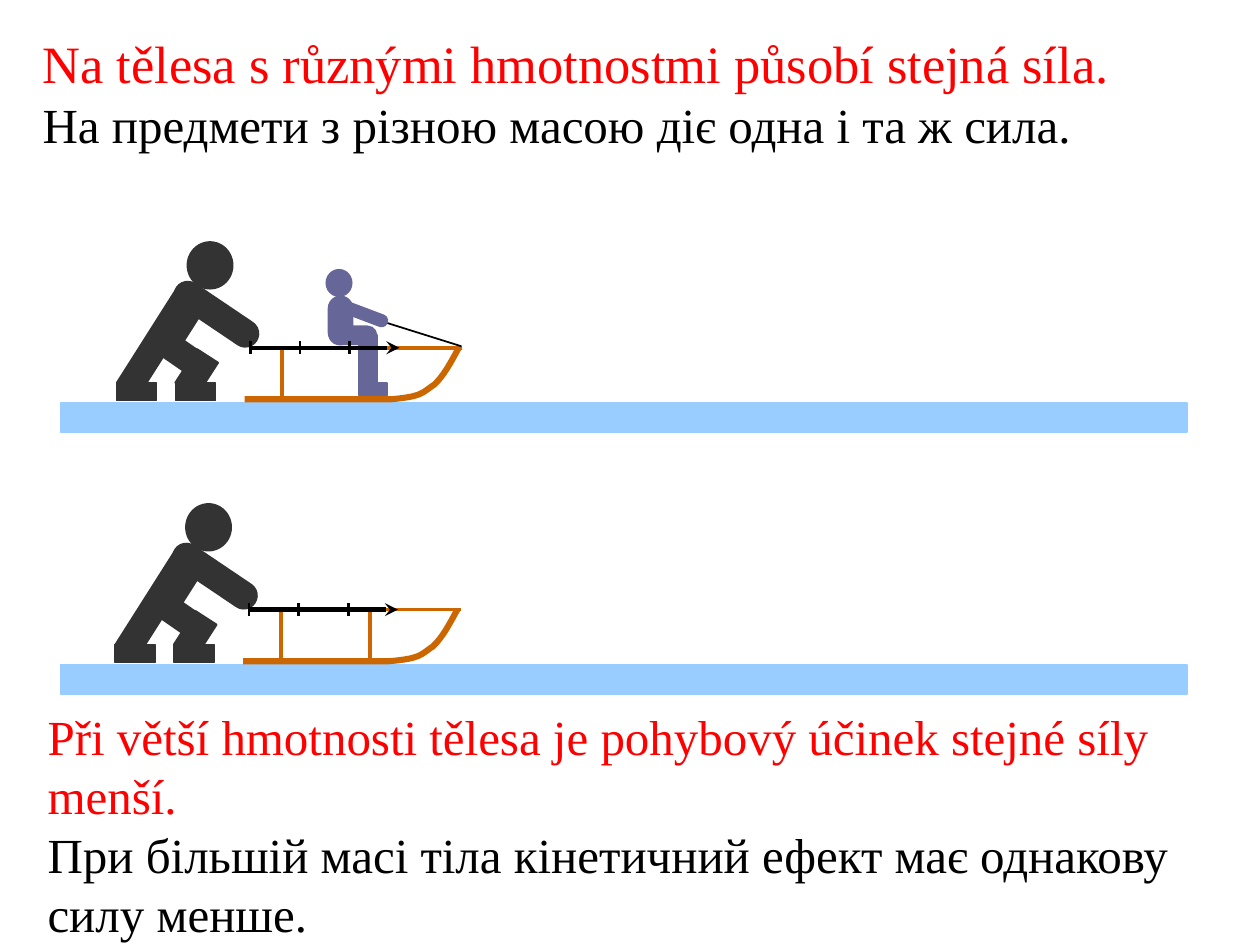
from dataclasses import dataclass

from pptx import Presentation
from pptx.dml.color import RGBColor
from pptx.enum.shapes import MSO_CONNECTOR, MSO_SHAPE
from pptx.enum.text import MSO_AUTO_SIZE
from pptx.oxml.ns import qn
from pptx.util import Cm, Pt
from lxml.etree import SubElement

RECT, ROUND, OVAL = MSO_SHAPE.RECTANGLE, MSO_SHAPE.ROUNDED_RECTANGLE, MSO_SHAPE.OVAL


@dataclass(frozen=True)
class Theme:
    font: str = "Times New Roman"
    title_size: int = 30
    text_size: int = 28
    red: str = "FF0000"
    black: str = "000000"
    white: str = "FFFFFF"
    ice: str = "99CCFF"
    wood: str = "CC6600"
    pusher: str = "333333"
    rider: str = "666699"


THEME = Theme()

# Body parts: preset, left, top, width, height, rotation (cm, degrees)
PUSHER_PARTS = [
    (RECT, 2.92, 5.77, 0.51, 2.26, 32.4),
    (RECT, 2.57, 7.49, 0.36, 0.81, 90),
    (RECT, 3.76, 7.49, 0.36, 0.81, 90),
    (RECT, 3.71, 7.11, 0.51, 0.81, 32.8),
    (RECT, 3.33, 6.76, 0.51, 0.66, 304.7),
    (RECT, 3.45, 5.87, 0.51, 1.07, 32.4),
    (ROUND, 3.4, 6.07, 1.93, 0.53, 34),
    (OVAL, 3.78, 4.88, 0.91, 0.94, 0),
]
RIDER_PARTS = [
    (RECT, 7.39, 7.57, 0.25, 0.56, 90),
    (ROUND, 6.65, 6.58, 0.94, 0.36, 0),
    (OVAL, 6.58, 5.44, 0.51, 0.53, 0),
    (ROUND, 6.38, 6.22, 0.97, 0.48, 270),
    (ROUND, 6.86, 6.22, 0.97, 0.23, 200.6),
    (RECT, 7.24, 6.76, 0.36, 1.07, 0),
]
RUNNER_START = (4.93, 8.05)
RUNNER_CURVES = [
    ((7.87, 8.05), (8.51, 8.0), (8.51, 7.92), (8.76, 7.75)),
    ((8.76, 7.75), (8.99, 7.54), (9.17, 7.14), (9.27, 6.98)),
]
SEAT_Y = 7.01
LOWER_SCENE = (-0.03, 5.28)


def color(value):
    return RGBColor.from_string(value)


def add_part(shapes, offset, part, fill, outlined=True):
    preset, left, top, width, height, rotation = part
    shape = shapes.add_shape(preset, Cm(left + offset[0]), Cm(top + offset[1]),
                             Cm(width), Cm(height))
    shape.rotation = rotation
    if preset == ROUND:
        shape.adjustments[0] = 0.5
    shape.shadow.inherit = False
    shape.fill.solid()
    shape.fill.fore_color.rgb = color(fill)
    if outlined:
        shape.line.color.rgb = color(fill)
        shape.line.width = Pt(1)
    else:
        shape.line.fill.background()


def add_line(shapes, offset, start, end, stroke, width, arrow=False):
    dx, dy = offset
    line = shapes.add_connector(MSO_CONNECTOR.STRAIGHT, Cm(start[0] + dx), Cm(start[1] + dy),
                                Cm(end[0] + dx), Cm(end[1] + dy))
    line.line.color.rgb = color(stroke)
    line.line.width = Pt(width)
    properties = line._element.spPr
    if arrow:
        SubElement(properties.find(qn("a:ln")), qn("a:tailEnd"), type="stealth")
    SubElement(properties, qn("a:effectLst"))


def curve_points(a, b, c, d, steps=10):
    """Points along a cubic Bezier curve."""
    for step in range(steps + 1):
        t = step / steps
        u = 1 - t
        yield tuple(u**3 * p + 3 * u * u * t * q + 3 * u * t * t * r + t**3 * s
                    for p, q, r, s in zip(a, b, c, d))


def add_runner(shapes, offset):
    points = [RUNNER_START] + [point for curve in RUNNER_CURVES for point in curve_points(*curve)]
    points = [(Cm(x + offset[0]), Cm(y + offset[1])) for x, y in points]
    builder = shapes.build_freeform(*points[0])
    builder.add_line_segments(points[1:], close=False)
    runner = builder.convert_to_shape()
    runner.shadow.inherit = False
    runner.fill.background()
    runner.line.color.rgb = color(THEME.wood)
    runner.line.width = Pt(3.5)


def add_sled(shapes, offset, has_rider):
    sled = shapes.add_group_shape().shapes
    add_runner(sled, offset)
    for x in (7.49, 5.69):
        add_line(sled, offset, (x, 6.98), (x, 8.06), THEME.wood, 2)
    if not has_rider:
        add_part(sled, offset, (RECT, 9.02, 6.86, 0.33, 0.15, 0), THEME.white, outlined=False)
    add_line(sled, offset, (9.32, SEAT_Y), (5.03, SEAT_Y), THEME.wood, 2)
    if has_rider:
        add_line(sled, offset, (7.77, 6.5), (9.3, 6.98), THEME.black, 1)
        add_figure(sled, offset, RIDER_PARTS, THEME.rider)


def add_figure(shapes, offset, parts, fill):
    figure = shapes.add_group_shape().shapes
    for part in parts:
        add_part(figure, offset, part, fill)


def add_force(shapes, offset):
    """Force arrow with a tick at each unit."""
    force = shapes.add_group_shape().shapes
    start = 5.05
    add_line(force, offset, (start, SEAT_Y), (start + 3, SEAT_Y), THEME.black, 2.5, arrow=True)
    for unit in range(3):
        x = start + unit
        add_line(force, offset, (x, SEAT_Y - 0.13), (x, SEAT_Y + 0.13), THEME.black, 1.5)


def add_scene(shapes, offset, has_rider):
    add_part(shapes, (0, offset[1]), (RECT, 1.22, 8.13, 22.71, 0.58, 0), THEME.ice)
    add_sled(shapes, offset, has_rider)
    add_figure(shapes, offset, PUSHER_PARTS, THEME.pusher)
    add_force(shapes, offset)


def add_text(shapes, left, top, width, height, paragraphs):
    """Each paragraph is a list of lines: (text, size, colour)."""
    frame = shapes.add_textbox(Cm(left), Cm(top), Cm(width), Cm(height)).text_frame
    frame.word_wrap = False
    frame.auto_size = MSO_AUTO_SIZE.SHAPE_TO_FIT_TEXT
    for index, lines in enumerate(paragraphs):
        paragraph = frame.add_paragraph() if index else frame.paragraphs[0]
        for number, (text, size, fill) in enumerate(lines):
            if number:
                paragraph.add_line_break()
            run = paragraph.add_run()
            run.text = text
            run.font.name = THEME.font
            run.font.size = Pt(size)
            run.font.color.rgb = color(fill)


def main():
    presentation = Presentation()
    presentation.slide_width, presentation.slide_height = Cm(25.4), Cm(19.05)
    slide = presentation.slides.add_slide(presentation.slide_layouts[6])
    shapes = slide.shapes
    size, red, black = THEME.text_size, THEME.red, THEME.black
    add_text(shapes, 0.61, 0.51, 22.02, 2.72, [
        [("Na tělesa s různými hmotnostmi působí stejná síla.", THEME.title_size, red),
         ("На предмети з різною масою діє одна і та ж сила.", size, black)],
    ])
    add_text(shapes, 0.71, 14.12, 23.44, 5, [
        [("Při větší hmotnosti tělesa je pohybový účinek stejné síly", size, red)],
        [("menší.", size, red),
         ("При більшій масі тіла кінетичний ефект має однакову", size, black),
         ("силу менше.", size, black)],
    ])
    add_scene(shapes, (0, 0), has_rider=True)
    add_scene(shapes, LOWER_SCENE, has_rider=False)
    presentation.save("out.pptx")


if __name__ == "__main__":
    main()
